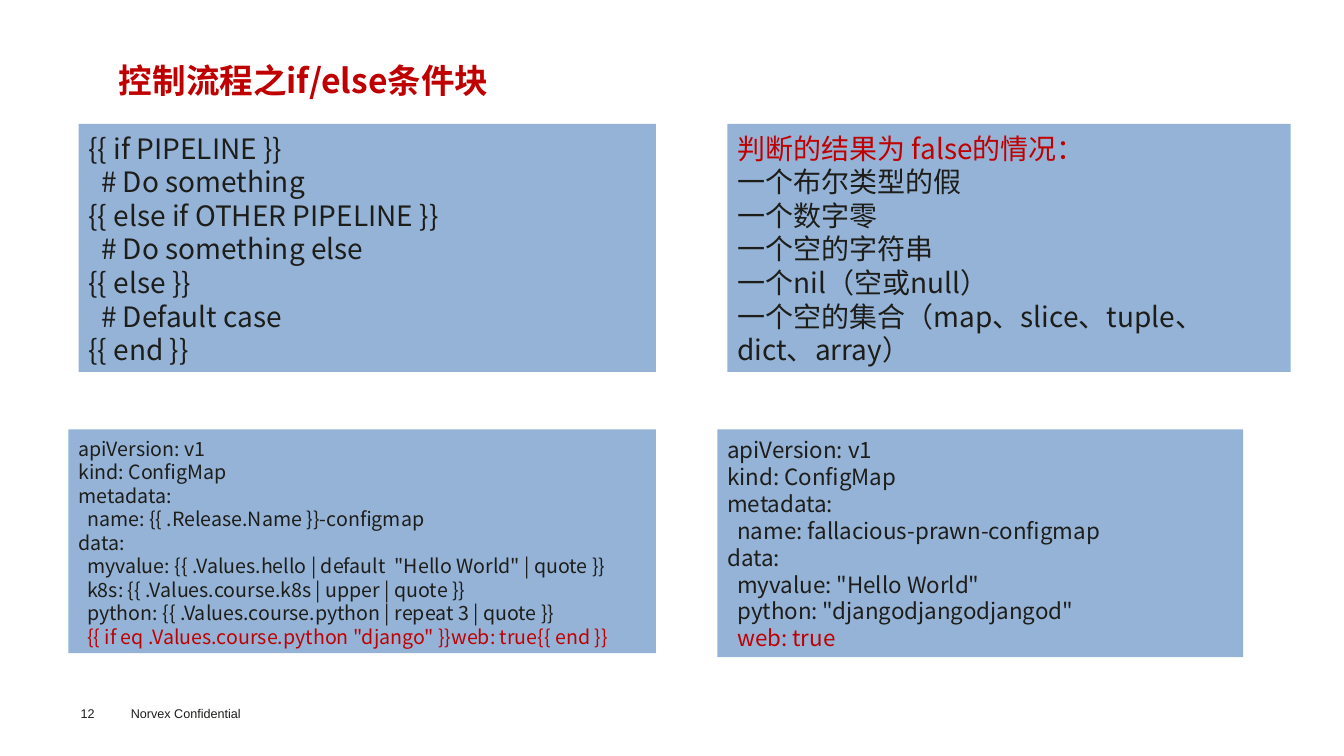
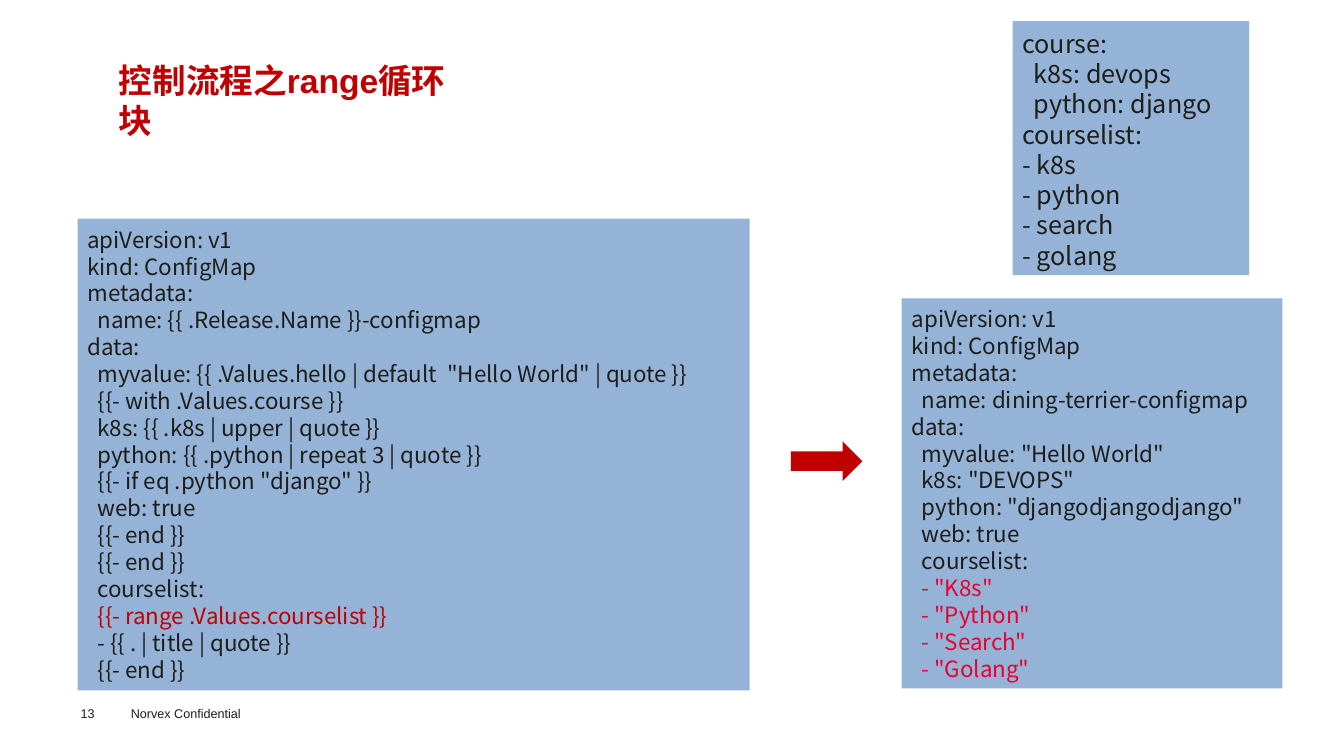
"""Builds two slides on template control flow: if/else blocks and range loops."""
from dataclasses import dataclass, field

from lxml.etree import SubElement as Sub
from pptx import Presentation
from pptx.dml.color import RGBColor
from pptx.enum.shapes import MSO_SHAPE as Kind
from pptx.enum.text import MSO_ANCHOR as Anchor, MSO_AUTO_SIZE as Fit, PP_ALIGN as Align
from pptx.oxml.ns import qn
from pptx.shapes.autoshape import Shape
from pptx.slide import Slide
from pptx.util import Inches, Pt

INK = RGBColor(0x1D, 0x1D, 0x1A)
GREY = RGBColor(0x1D, 0x1D, 0x1B)
RED = RGBColor(0xC0, 0x00, 0x00)
PINK = RGBColor(0xE9, 0x00, 0x2F)
BLUE = RGBColor(0x95, 0xB3, 0xD7)
SANS = "Noto Sans CJK SC"
ARIAL = "Arial"
LEAD = 1.2
TAB = 0.45
Box = tuple[float, float, float, float]
FRAME = {
    "word_wrap": True,
    "auto_size": Fit.NONE,
    "vertical_anchor": Anchor.TOP,
    "margin_left": Inches(0.1),
    "margin_right": Inches(0.1),
    "margin_top": Inches(0.07),
    "margin_bottom": Inches(0),
}
FLUSH = {"margin_left": 0, "margin_right": 0, "margin_top": 0}
FOOT = {"margin_top": Inches(0.05)}


@dataclass
class Panel:
    """A blue box of lines, with the colours of the lines that stand out."""

    box: Box
    size: int
    lines: list[str]
    hot: dict[int, RGBColor] = field(default_factory=dict)


@dataclass
class Page:
    """The content of one slide."""

    num: int
    title: str
    face: str
    width: float
    panels: list[Panel]
    arrow: Box | None = None


def config(name: str, *data: str) -> list[str]:
    """Return the lines of a ConfigMap."""
    top = ["apiVersion: v1", "kind: ConfigMap", "metadata:"]
    return [*top, f"  name: {name}-configmap", "data:", *(f"  {row}" for row in data)]


def assign(item: object, values: dict) -> None:
    """Set each named attribute of the item."""
    for key, value in values.items():
        setattr(item, key, value)


def write(shape: Shape, lines: list[str], size: int, color: RGBColor, *,
          face: str = SANS, bold: bool = False, lead: float | None = LEAD,
          hot: dict[int, RGBColor] | None = None, frame: dict | None = None) -> None:
    """Fill the shape with one paragraph for each line."""
    text = shape.text_frame
    assign(text, FRAME | (frame or {}))
    for pos, line in enumerate(lines):
        para = text.paragraphs[0] if pos == 0 else text.add_paragraph()
        space = Pt(size * lead) if lead else 1.0
        assign(para, {"alignment": Align.LEFT, "line_spacing": space})
        if line.startswith("  "):
            para._p.get_or_add_pPr().set("marL", str(Pt(size * TAB)))
        run = para.add_run()
        run.text = line.strip()
        assign(run.font, {"name": face, "size": Pt(size), "bold": bold})
        run.font.color.rgb = (hot or {}).get(pos, color)
        Sub(run._r.get_or_add_rPr(), qn("a:ea")).set("typeface", SANS)


def block(slide: Slide, kind: Kind, box: Box, color: RGBColor) -> Shape:
    """Add a plain filled shape."""
    shape = slide.shapes.add_shape(kind, *map(Inches, box))
    shape.shadow.inherit = False
    shape.fill.solid()
    shape.fill.fore_color.rgb = color
    shape.line.fill.background()
    return shape


def footer(slide: Slide, num: int) -> None:
    """Add the owner's mark and the page number."""
    parts = [
        ((1.2, 6.95, 1.6, 0.25), "Norvex Confidential", FOOT),
        ((0.8, 7, 0.55, 0.15), str(num), FLUSH),
    ]
    for box, text, frame in parts:
        note = slide.shapes.add_textbox(*map(Inches, box))
        write(note, [text], 9, GREY, face=ARIAL, lead=None, frame=frame)


def draw(deck: Presentation, page: Page) -> None:
    """Add one slide to the deck."""
    slide = deck.slides.add_slide(deck.slide_layouts[5])
    footer(slide, page.num)
    title = slide.shapes.title
    spot = {"left": 1.08, "top": 0.52, "width": page.width, "height": 0.5}
    assign(title, {key: Inches(value) for key, value in spot.items()})
    write(title, [page.title], 24, RED, face=page.face, bold=True)
    for panel in page.panels:
        shape = block(slide, Kind.RECTANGLE, panel.box, BLUE)
        write(shape, panel.lines, panel.size, INK, hot=panel.hot)
    if page.arrow:
        block(slide, Kind.RIGHT_ARROW, page.arrow, RED)


HELLO = 'myvalue: {{ .Values.hello | default  "Hello World" | quote }}'
NAME = "{{ .Release.Name }}"
PAGES = [
    Page(12, "控制流程之if/else条件块", SANS, 4.08, [
        Panel((0.78, 1.23, 5.73, 2.46), 20, [
            "{{ if PIPELINE }}",
            "  # Do something",
            "{{ else if OTHER PIPELINE }}",
            "  # Do something else",
            "{{ else }}",
            "  # Default case",
            "{{ end }}",
        ]),
        Panel((7.22, 1.23, 5.59, 2.46), 20, [
            "判断的结果为 false的情况：",
            "一个布尔类型的假",
            "一个数字零",
            "一个空的字符串",
            "一个nil（空或null）",
            "一个空的集合（map、slice、tuple、dict、array）",
        ], {0: RED}),
        Panel((0.68, 4.26, 5.83, 2.22), 14, config(
            NAME,
            HELLO,
            "k8s: {{ .Values.course.k8s | upper | quote }}",
            "python: {{ .Values.course.python | repeat 3 | quote }}",
            '{{ if eq .Values.course.python "django" }}web: true{{ end }}',
        ), {8: RED}),
        Panel((7.12, 4.26, 5.22, 2.26), 16, config(
            "fallacious-prawn",
            'myvalue: "Hello World"',
            'python: "djangodjangodjangod"',
            "web: true",
        ), {7: RED}),
    ]),
    Page(13, "控制流程之range循环块", ARIAL, 3.74, [
        Panel((10.05, 0.21, 2.35, 2.52), 18, [
            "course:",
            "  k8s: devops",
            "  python: django",
            "courselist:",
            "- k8s",
            "- python",
            "- search",
            "- golang",
        ]),
        Panel((0.77, 2.17, 6.67, 4.68), 16, config(
            NAME,
            HELLO,
            "{{- with .Values.course }}",
            "k8s: {{ .k8s | upper | quote }}",
            "python: {{ .python | repeat 3 | quote }}",
            '{{- if eq .python "django" }}',
            "web: true",
            "{{- end }}",
            "{{- end }}",
            "courselist:",
            "{{- range .Values.courselist }}",
            "- {{ . | title | quote }}",
            "{{- end }}",
        ), {14: RED}),
        Panel((8.95, 2.96, 3.78, 3.87), 16, config(
            "dining-terrier",
            'myvalue: "Hello World"',
            'k8s: "DEVOPS"',
            'python: "djangodjangodjango"',
            "web: true",
            "courselist:",
            '- "K8s"',
            '- "Python"',
            '- "Search"',
            '- "Golang"',
        ), dict.fromkeys(range(10, 14), PINK)),
    ], (7.85, 4.38, 0.71, 0.39)),
]


def main() -> None:
    """Build and save the deck."""
    deck = Presentation()
    assign(deck, {"slide_width": Inches(13.34), "slide_height": Inches(7.5)})
    for page in PAGES:
        draw(deck, page)
    deck.save("out.pptx")


if __name__ == "__main__":
    main()
